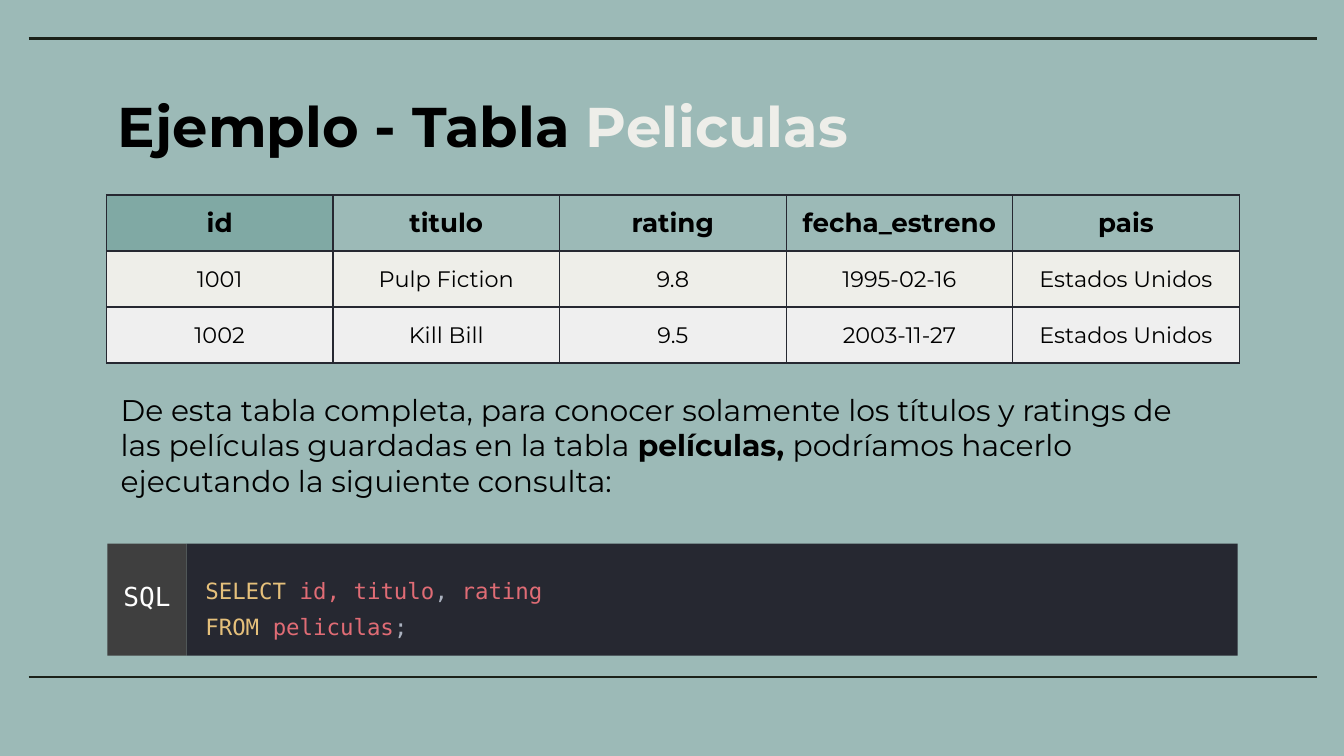
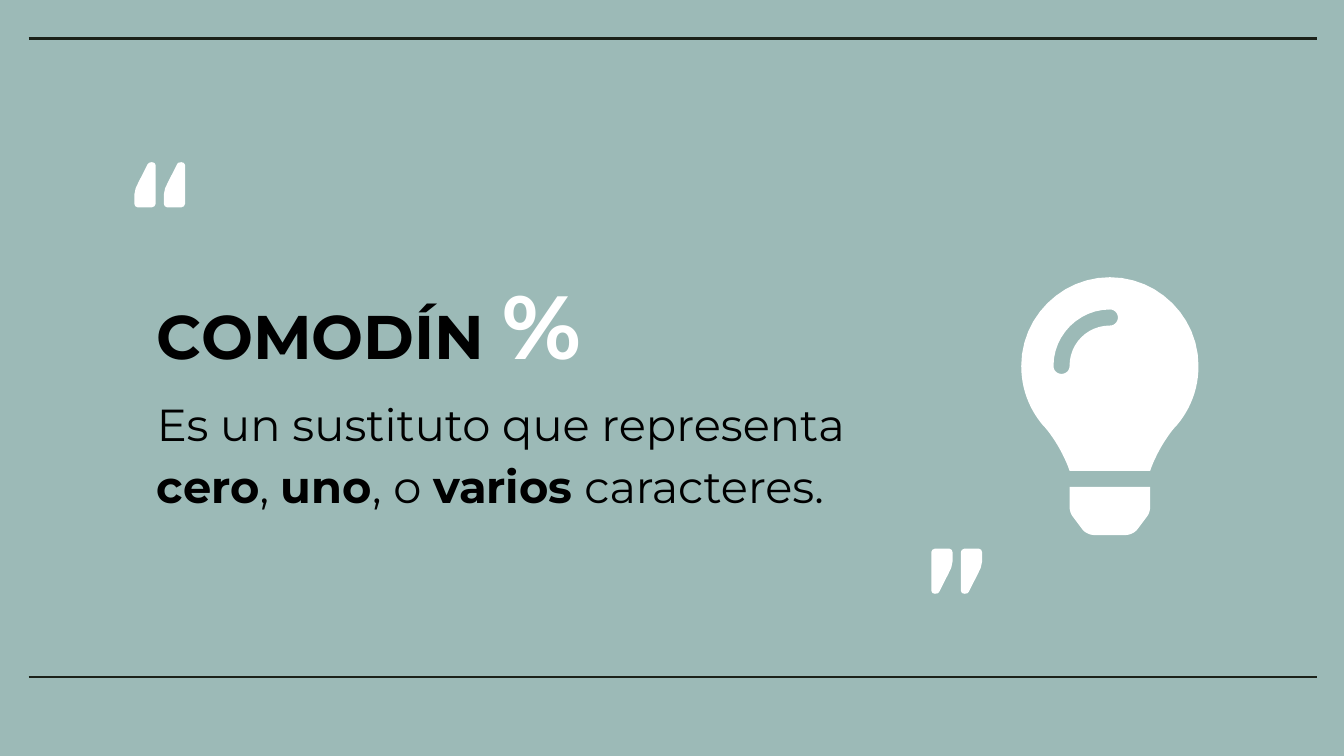
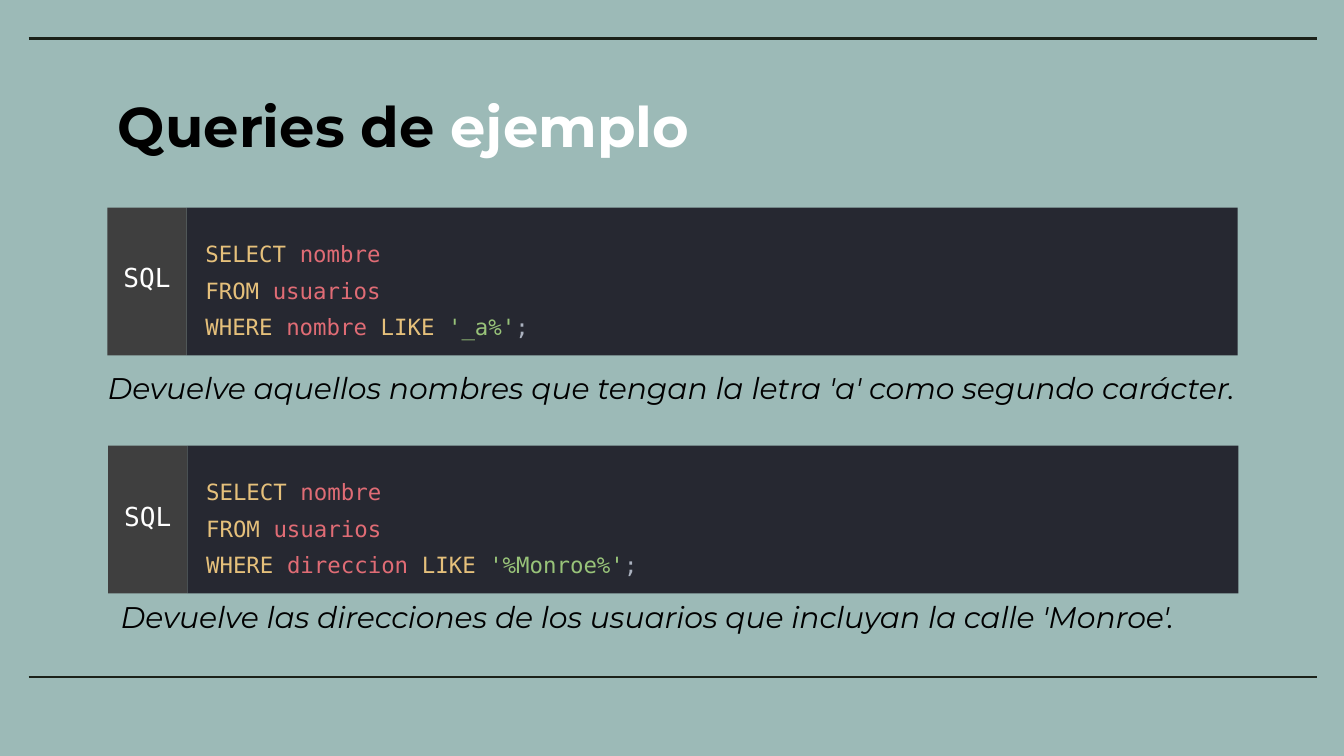
from dataclasses import dataclass, field

from lxml import etree
from pptx import Presentation
from pptx import util as u
from pptx.dml.color import RGBColor
from pptx.enum import shapes, text
from pptx.oxml import ns

LEFT, CENTER = text.PP_ALIGN.LEFT, text.PP_ALIGN.CENTER
TOP, MIDDLE, BOTTOM = text.MSO_ANCHOR.TOP, text.MSO_ANCHOR.MIDDLE, text.MSO_ANCHOR.BOTTOM
TITLE_ONLY, BLANK = 5, 6


@dataclass
class Theme:
    body_font: str = "Montserrat"
    code_font: str = "DejaVu Sans Mono"
    colors: dict = field(default_factory=lambda: {
        "background": "9CBAB7", "rule": "1B2119", "ink": "000000",
        "white": "FFFFFF", "cream": "EEEEE9", "gray": "EFEFEF",
        "teal": "80A9A4", "panel": "262831", "tab": "3F3F3F",
        "keyword": "E5C07B", "name": "E06C75", "string": "98C379",
        "mark": "ABB2BF",
    })
    sizes: dict = field(default_factory=lambda: {
        "title": 30, "symbol": 48, "term": 33, "definition": 24,
        "body": 16, "label": 14, "small": 12,
    })

    def color(self, name):
        return RGBColor.from_string(self.colors[name])


def apply(target, values):
    for name, value in values.items():
        setattr(target, name, value)


def insets(left, top, right, bottom):
    sides = {"left": left, "top": top, "right": right, "bottom": bottom}
    return {f"margin_{side}": u.Pt(size) for side, size in sides.items()}


def flatten(outline, steps=12):
    points = [outline[0]]
    for piece in outline[1:]:
        if len(piece) == 2:
            points.append(piece)
            continue
        x0, y0 = points[-1]
        x1, y1, x2, y2, x3, y3 = piece
        for step in range(1, steps + 1):
            t = step / steps
            s = 1 - t
            weights = (s ** 3, 3 * s * s * t, 3 * s * t * t, t ** 3)
            points.append((
                sum(w * x for w, x in zip(weights, (x0, x1, x2, x3))),
                sum(w * y for w, y in zip(weights, (y0, y1, y2, y3))),
            ))
    return points


def mirror(half):
    return half + [(-x, y) for x, y in reversed(half)]


class Builder:
    def __init__(self, theme):
        self.theme = theme
        self.deck = Presentation()
        apply(self.deck, {"slide_width": u.Pt(720), "slide_height": u.Pt(405)})
        fill = self.deck.slide_master.background.fill
        fill.solid()
        fill.fore_color.rgb = theme.color("background")
        self.page = None

    def new_page(self, layout):
        self.page = self.deck.slides.add_slide(self.deck.slide_layouts[layout])
        for y in (362.7, 20.7):
            self.rule(15.4, y, 705.6)

    def rule(self, left, y, right):
        line = self.page.shapes.add_connector(
            shapes.MSO_CONNECTOR.STRAIGHT, u.Pt(left), u.Pt(y), u.Pt(right), u.Pt(y))
        line.line.color.rgb = self.theme.color("rule")
        line.line.width = u.Pt(1.5)
        etree.SubElement(line._element.spPr, ns.qn("a:effectLst"))

    def paint(self, shape, color):
        shape.fill.solid()
        shape.fill.fore_color.rgb = self.theme.color(color)
        shape.line.fill.background()
        shape.shadow.inherit = False

    def add_spans(self, frame, paragraphs, font, layout=None):
        for index, spans in enumerate(paragraphs):
            para = frame.paragraphs[0] if index == 0 else frame.add_paragraph()
            apply(para, {"alignment": LEFT, **(layout or {})})
            for words, color, *extra in spans:
                span = para.add_run()
                span.text = words
                apply(span.font, {**font, **(extra[0] if extra else {})})
                span.font.color.rgb = self.theme.color(color)

    def font(self, size, name=None, **more):
        return {"name": name or self.theme.body_font,
                "size": u.Pt(self.theme.sizes[size]), "bold": False, **more}

    def title(self, plain, accent, color):
        box = self.page.shapes.title
        apply(box, {"left": u.Pt(56), "top": u.Pt(43.2),
                    "width": u.Pt(607), "height": u.Pt(49.7)})
        apply(box.text_frame, {"word_wrap": True, "vertical_anchor": BOTTOM,
                               "auto_size": text.MSO_AUTO_SIZE.NONE,
                               **insets(7.2, 7.2, 7.2, 7.2)})
        self.add_spans(box.text_frame, [[(plain, "ink"), (accent, color)]],
                       self.font("title", bold=True), {"line_spacing": 0.9})

    def text(self, frame, paragraphs, font, anchor=TOP, inset=7.2, **layout):
        box = self.page.shapes.add_textbox(*map(u.Pt, frame))
        apply(box.text_frame, {"word_wrap": True, "vertical_anchor": anchor,
                               **insets(7.2, inset, 7.2, inset)})
        self.add_spans(box.text_frame, paragraphs, font,
                       {"space_before": u.Pt(6), **layout})

    def code(self, left, top, height, lines):
        group = self.page.shapes.add_group_shape()
        tab_width = 42.4
        mono = self.theme.code_font
        parts = (
            (left + tab_width, 563, "panel", lines, self.font("small", mono),
             insets(10, 11.4, 7.2, 7.2), {"line_spacing": 1.36}),
            (left, tab_width, "tab", [[("SQL", "white")]], self.font("label", mono),
             insets(7.2, 3, 7.2, 7.2), {"alignment": CENTER}),
        )
        for x, width, color, paragraphs, font, margins, layout in parts:
            box = group.shapes.add_shape(
                shapes.MSO_SHAPE.RECTANGLE, u.Pt(x), u.Pt(top), u.Pt(width), u.Pt(height))
            self.paint(box, color)
            apply(box.text_frame, {"word_wrap": True, "vertical_anchor": MIDDLE, **margins})
            self.add_spans(box.text_frame, paragraphs, font, layout)

    def border(self, cell):
        properties = cell._tc.get_or_add_tcPr()
        for side in ("lnL", "lnR", "lnT", "lnB"):
            line = etree.SubElement(properties, ns.qn(f"a:{side}"), w=str(u.Pt(0.75)))
            fill = etree.SubElement(line, ns.qn("a:solidFill"))
            etree.SubElement(fill, ns.qn("a:srgbClr"), val=self.theme.colors["panel"])

    def table(self, left, top, column_width, row_height, rows, row_colors):
        count = len(rows[0])
        table = self.page.shapes.add_table(
            len(rows), count, u.Pt(left), u.Pt(top),
            u.Pt(column_width * count), u.Pt(row_height * len(rows))).table
        apply(table, {"first_row": False, "horz_banding": False})
        for column in table.columns:
            column.width = u.Pt(column_width)
        for r, row in enumerate(rows):
            table.rows[r].height = u.Pt(row_height)
            font = self.font("small") if r else self.font("label", bold=True)
            for c, value in enumerate(row):
                cell = table.cell(r, c)
                apply(cell, {"vertical_anchor": MIDDLE, **insets(7.2, 4.5, 7.2, 4.5)})
                self.border(cell)
                cell.fill.solid()
                color = "teal" if r == c == 0 else row_colors[r]
                cell.fill.fore_color.rgb = self.theme.color(color)
                space = 6 if r == 0 or c < 3 else 0
                self.add_spans(cell.text_frame, [[(value, "ink")]], font,
                               {"alignment": CENTER, "space_before": u.Pt(space)})

    def outline(self, left, top, contours, color, rotation=0):
        placed = [[(u.Pt(left + x), u.Pt(top + y)) for x, y in contour]
                  for contour in contours]
        builder = self.page.shapes.build_freeform(*placed[0][0])
        for index, contour in enumerate(placed):
            if index:
                builder.move_to(*contour[0])
            builder.add_line_segments(contour[1:], close=True)
        shape = builder.convert_to_shape()
        self.paint(shape, color)
        shape.rotation = rotation

    def quote_marks(self, left, top, rotation):
        mark = [(9.4, 0), (7.9, 0.3), (7.2, 1), (2.2, 10.8), (0.7, 14), (0, 17.3),
                (0, 22.3), (0.5, 23.6), (1.8, 24.2), (9.4, 24.2), (10.8, 23.6),
                (11.4, 22.3), (11.4, 1.6), (10.8, 0.4)]
        for index in range(2):
            self.outline(left + 15.8 * index, top, [mark], "white", rotation)

    def light_bulb(self, center, top):
        base = flatten([(0, 112.3), (21.6, 112.3), (21.6, 123.1),
                        (21.6, 124.6, 21, 126.7, 20.2, 127.8), (15.1, 134.6),
                        (13.7, 136.8, 10.8, 138.2, 7.9, 138.2), (0, 138.2)])
        globe = flatten([(0, 0), (26, 0, 47.5, 21.4, 47.5, 47.5),
                         (47.5, 59.8, 43.2, 70.6, 36, 79.2),
                         (31, 84.2, 24.5, 95, 21.6, 103.7), (0, 103.7)])
        glint = flatten([(0, 25.9), (-12, 25.9, -21.6, 35.5, -21.6, 47.5),
                         (-21.6, 50, -23.5, 51.8, -25.9, 51.8),
                         (-28.3, 51.8, -30.2, 50, -30.2, 47.5),
                         (-30.2, 31, -16.6, 17.3, 0, 17.3),
                         (2.4, 17.3, 4.3, 19.2, 4.3, 21.6),
                         (4.3, 24, 2.4, 25.9, 0, 25.9)])
        self.outline(center, top, [mirror(base), mirror(globe), glint], "white")


def movies_page(slides):
    slides.new_page(TITLE_ONLY)
    slides.title("Ejemplo - Tabla ", "Peliculas", "cream")
    slides.text((57.6, 202.4, 579, 53.3), [[
        ("De esta tabla completa, para conocer solamente los títulos y ratings de "
         "las películas guardadas en la tabla ", "ink"),
        ("películas, ", "ink", {"bold": True}),
        ("podríamos hacerlo ejecutando la siguiente consulta:", "ink"),
    ]], slides.font("body"))
    slides.code(57.6, 291.2, 60, [
        [("SELECT", "keyword"), (" id, titulo", "name"), (", ", "mark"), ("rating", "name")],
        [("FROM ", "keyword"), ("peliculas", "name"), (";", "mark")],
    ])
    slides.table(57, 104.5, 121.4, 30, [
        ("id", "titulo", "rating", "fecha_estreno", "pais"),
        ("1001", "Pulp Fiction", "9.8", "1995-02-16", "Estados Unidos"),
        ("1002", "Kill Bill", "9.5", "2003-11-27", "Estados Unidos"),
    ], ("background", "cream", "gray"))


def wildcard_page(slides):
    slides.new_page(BLANK)
    bold = {"bold": True}
    term = slides.font("term", bold=True)
    symbol = slides.font("symbol", bold=True)
    slides.text((77, 125.3, 435.6, 159.8), [
        [("COMODÍN ", "ink", term), ("%", "white", symbol)],
        [("Es un sustituto que representa ", "ink"), ("cero", "ink", bold),
         (", ", "ink"), ("uno", "ink", bold), (", o ", "ink"),
         ("varios", "ink", bold), (" caracteres.", "ink")],
    ], slides.font("definition"), MIDDLE, 3.6, line_spacing=1.15)
    slides.light_bulb(594.6, 148.5)
    slides.quote_marks(72, 86.9, 0)
    slides.quote_marks(498.9, 293.9, 180)


def queries_page(slides):
    slides.new_page(TITLE_ONLY)
    slides.title("Queries de ", "ejemplo", "white")
    queries = ((57.6, 111.2, "nombre ", "'_a%'"), (58, 238.8, "direccion ", "'%Monroe%'"))
    for left, top, column, pattern in queries:
        slides.code(left, top, 79.2, [
            [("SELECT ", "keyword"), ("nombre", "name")],
            [("FROM ", "keyword"), ("usuarios", "name")],
            [("WHERE ", "keyword"), (column, "name"), ("LIKE ", "keyword"),
             (pattern, "string"), (";", "mark")],
        ])
    captions = (
        ((45.3, 190.8, 629.3, 65.5), CENTER,
         "Devuelve aquellos nombres que tengan la letra 'a' como segundo carácter."),
        ((57.6, 313.4, 605.5, 65.5), LEFT,
         "Devuelve las direcciones de los usuarios que incluyan la calle 'Monroe'."),
    )
    for frame, alignment, words in captions:
        slides.text(frame, [[(words, "ink")]], slides.font("body", italic=True),
                    alignment=alignment)


def main():
    slides = Builder(Theme())
    for build in (movies_page, wildcard_page, queries_page):
        build(slides)
    slides.deck.save("out.pptx")


if __name__ == "__main__":
    main()
